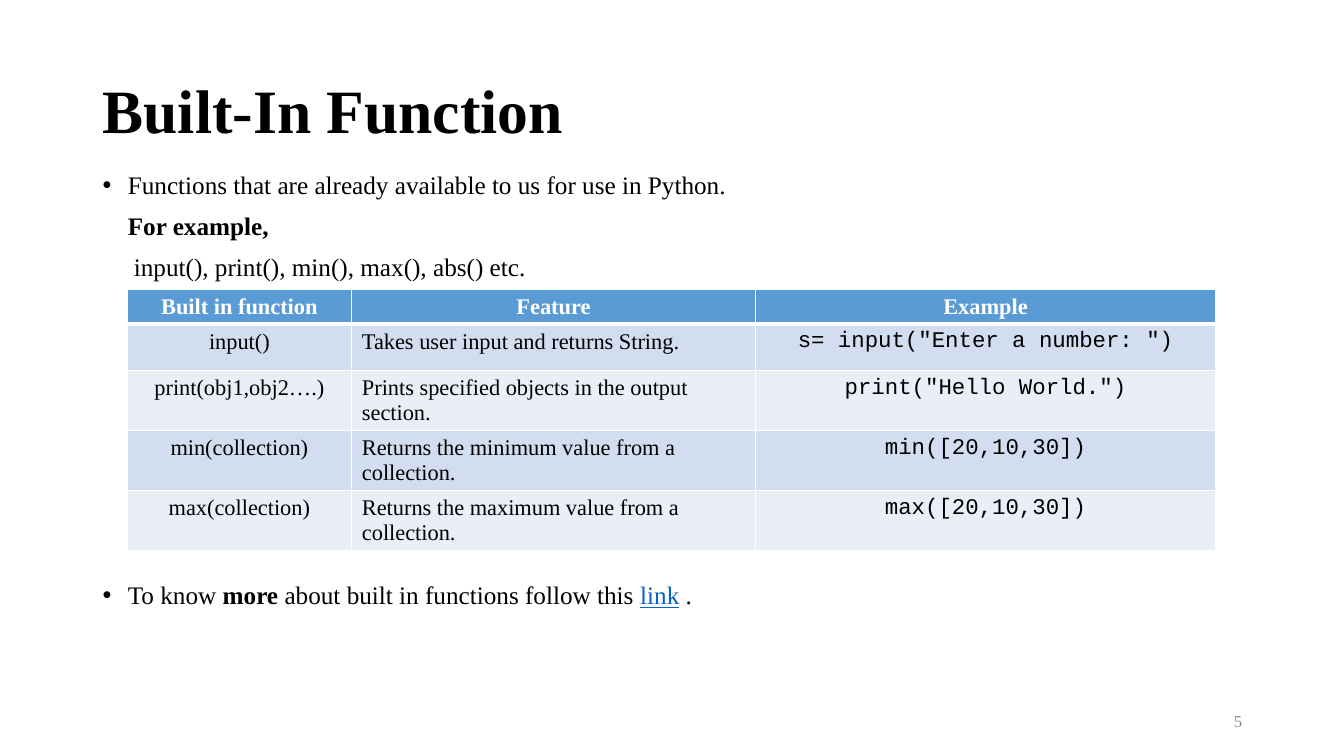
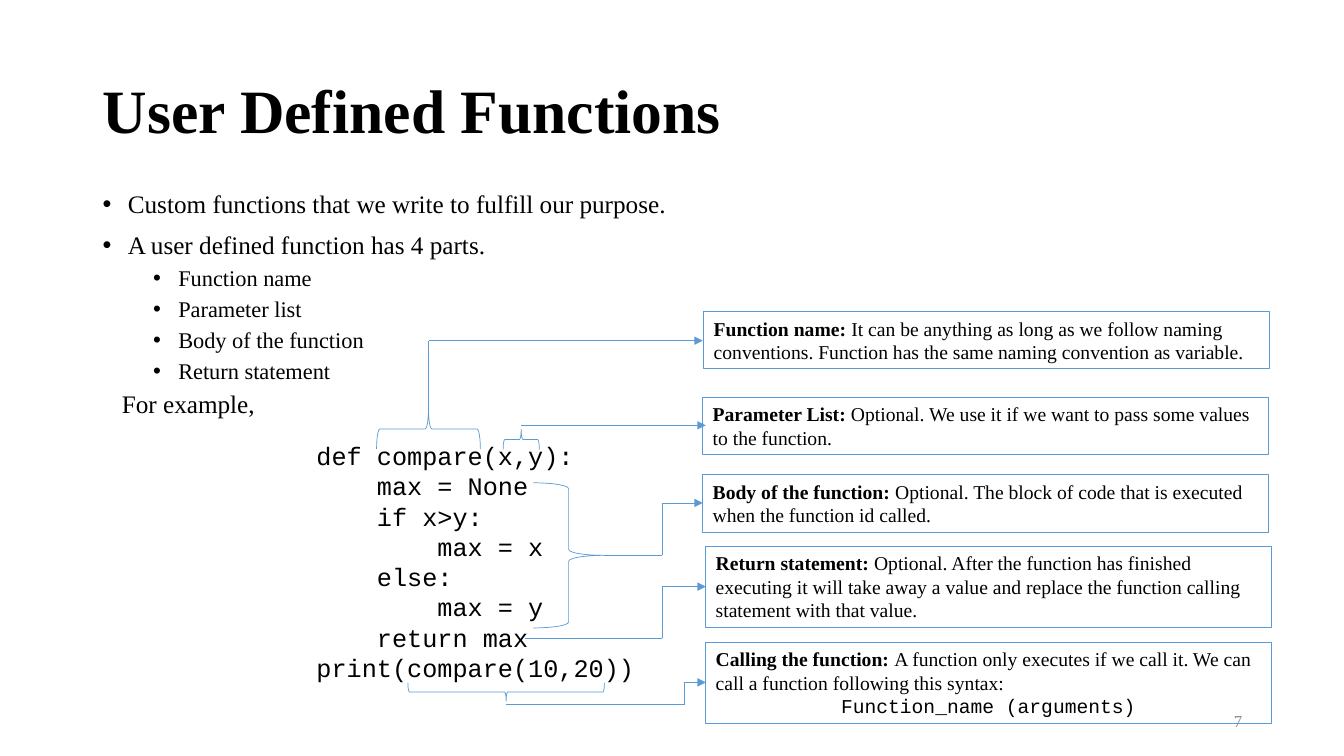
from dataclasses import dataclass
from itertools import pairwise

from lxml.etree import SubElement
from pptx import Presentation
from pptx.dml.color import RGBColor
from pptx.enum.shapes import MSO_CONNECTOR, MSO_SHAPE
from pptx.enum.text import MSO_ANCHOR, MSO_AUTO_SIZE, PP_ALIGN
from pptx.oxml import parse_xml
from pptx.oxml.ns import nsdecls, qn
from pptx.util import Inches, Pt


@dataclass(frozen=True)
class Theme:
    """Colours, fonts and type sizes shared by the slides."""
    text: str = "000000"
    white: str = "FFFFFF"
    accent: str = "5B9BD5"
    bands: tuple = ("D2DEEF", "EAEFF7")
    link: str = "0563C1"
    number: str = "8C8C8C"
    serif: str = "Times New Roman"
    mono: str = "Courier New"
    title: int = 44
    body: int = 18
    sub: int = 16
    note: int = 14
    small: int = 12


T = Theme()
LEFT, WIDTH = 0.92, 11.5
BULLET = {"indent": 0.25, "bullet": True}
SUB_BULLET = {"indent": 0.75, "bullet": True, "size": T.sub, "before": 5}
CODE_STEP = 0.6

FUNCTIONS = [
    ("Built in function", "Feature", "Example"),
    ("input()", "Takes user input and returns String.",
     's= input("Enter a number: ")'),
    ("print(obj1,obj2….)", "Prints specified objects in the output section.",
     'print("Hello World.")'),
    ("min(collection)", "Returns the minimum value from a collection.",
     "min([20,10,30])"),
    ("max(collection)", "Returns the maximum value from a collection.",
     "max([20,10,30])"),
]

CODE = [
    (0, "def compare(x,y):"),
    (1, "max = None"),
    (1, "if x>y:"),
    (2, "max = x"),
    (1, "else:"),
    (2, "max = y"),
    (1, "return max"),
    (0, "print(compare(10,20))"),
]

# left, top, height, label, explanation
NOTES = [
    (6.98, 3.09, 0.57, "Function name: ",
     "It can be anything as long as we follow naming conventions. "
     "Function has the same naming convention as variable."),
    (6.97, 3.94, 0.57, "Parameter List: ",
     "Optional. We use it if we want to pass some values to the function."),
    (6.97, 4.71, 0.57, "Body of the function: ",
     "Optional. The block of code that is executed when the function id called."),
    (7, 5.42, 0.81, "Return statement: ",
     "Optional. After the function has finished executing it will take away "
     "a value and replace the function calling statement with that value."),
    (7, 6.37, 0.81, "Calling the function: ",
     "A function only executes if we call it. "
     "We can call a function following this syntax:"),
]

# left, top, width, height, rotation
BRACES = [
    (4.05, 3.74, 0.4, 1.03, 270),
    (5.07, 4.18, 0.2, 0.36, 270),
    (5.29, 4.79, 0.7, 1.44, 0),
    (4.93, 5.89, 0.18, 1.95, 90),
]

LEADERS = [
    [(4.25, 4.06), (4.25, 3.38), (6.97, 3.38)],
    [(5.17, 4.22), (7, 4.22)],
    [(5.99, 5.51), (6.57, 5.51), (6.57, 4.99), (6.97, 4.99)],
    [(5.21, 6.33), (6.57, 6.33), (6.57, 5.82), (7, 5.82)],
    [(5.02, 6.99), (6.79, 6.99), (6.79, 6.77), (7, 6.77)],
]


def rgb(value):
    """Turn a hex string into a colour."""
    return RGBColor.from_string(value)


def add_run(p, text, color=T.text, **changes):
    """Append one formatted run to a paragraph."""
    r = p.add_run()
    r.text = text
    values = {"name": T.serif, "size": T.body, "bold": False} | changes
    values["size"] = Pt(values["size"])
    for name, value in values.items():
        setattr(r.font, name, value)
    r.font.color.rgb = rgb(color)


def format_paragraph(p, indent=0, bullet=False, **values):
    """Set spacing, alignment, indent and bullet of a paragraph."""
    for name, value in values.items():
        setattr(p, name, value)
    pPr = p._p.get_or_add_pPr()
    pPr.set("marL", str(Inches(indent)))
    pPr.set("indent", str(Inches(-0.25 if bullet else 0)))
    if bullet:
        SubElement(pPr, qn("a:buFont")).set("typeface", "Arial")
        SubElement(pPr, qn("a:buChar")).set("char", "•")


def add_text_box(s, left, top, width, height, anchor=MSO_ANCHOR.TOP):
    """Add a wrapping text box and return it."""
    sp = s.shapes.add_textbox(*map(Inches, (left, top, width, height)))
    values = {"word_wrap": True, "auto_size": MSO_AUTO_SIZE.NONE,
              "vertical_anchor": anchor}
    for name, value in values.items():
        setattr(sp.text_frame, name, value)
    return sp


def paragraphs(tf, items):
    """Pair each item with a paragraph, reusing the first empty one."""
    for i, item in enumerate(items):
        yield (tf.add_paragraph() if i else tf.paragraphs[0]), item


def add_body(s, top, height, items):
    """Write body paragraphs given as (runs, format) pairs."""
    tf = add_text_box(s, LEFT, top, WIDTH, height).text_frame
    for p, (runs, form) in paragraphs(tf, items):
        form = dict(form)
        size = form.pop("size", T.body)
        before = Pt(form.pop("before", 10))
        format_paragraph(p, line_spacing=0.9, space_before=before, **form)
        for text, changes in runs:
            add_run(p, text, **({"size": size} | changes))


def add_slide(prs, title, number):
    """Add a blank slide with its title and slide number."""
    s = prs.slides.add_slide(prs.slide_layouts[6])
    middle = MSO_ANCHOR.MIDDLE
    p = add_text_box(s, LEFT, 0.4, WIDTH, 1.45, middle).text_frame.paragraphs[0]
    p.line_spacing = 0.9
    add_run(p, title, size=T.title, bold=True)
    p = add_text_box(s, 9.42, 6.95, 3, 0.4, middle).text_frame.paragraphs[0]
    p.alignment = PP_ALIGN.RIGHT
    add_run(p, str(number), T.number, size=T.small)
    return s


def set_borders(cell, bottom):
    """Draw white borders with the given bottom width in points."""
    widths = {"lnL": 1, "lnR": 1, "lnT": 1, "lnB": bottom}
    tcPr = cell._tc.get_or_add_tcPr()
    for side, width in widths.items():
        tcPr.append(parse_xml(
            f'<a:{side} {nsdecls("a")} w="{Pt(width)}"><a:solidFill>'
            f'<a:srgbClr val="{T.white}"/></a:solidFill></a:{side}>'))


def add_function_table(s, left, top, widths, heights):
    """Add the banded table of built-in functions."""
    size = (left, top, sum(widths), sum(heights))
    table = s.shapes.add_table(len(heights), len(widths),
                               *map(Inches, size)).table
    for column, width in zip(table.columns, widths):
        column.width = Inches(width)
    for i, (row, height) in enumerate(zip(table.rows, heights)):
        row.height = Inches(height)
        header = i == 0
        for j, cell in enumerate(row.cells):
            set_borders(cell, 3 if header else 1)
            cell.fill.solid()
            cell.fill.fore_color.rgb = rgb(
                T.accent if header else T.bands[(i - 1) % 2])
            p = cell.text_frame.paragraphs[0]
            centred = header or j != 1
            p.alignment = PP_ALIGN.CENTER if centred else PP_ALIGN.LEFT
            add_run(p, FUNCTIONS[i][j], T.white if header else T.text,
                    size=T.sub, bold=header,
                    name=T.mono if j == 2 and not header else T.serif)


def add_code(s, left, top, width, height):
    """Write the code sample, indenting each line by its level."""
    tf = add_text_box(s, left, top, width, height).text_frame
    for p, (level, text) in paragraphs(tf, CODE):
        format_paragraph(p, indent=level * CODE_STEP)
        add_run(p, text, name=T.mono)


def add_note(s, left, top, height, label, text):
    """Add an outlined explanation and return its text frame."""
    sp = add_text_box(s, left, top, 5.61, height)
    sp.line.color.rgb = rgb(T.accent)
    sp.line.width = Pt(0.75)
    p = sp.text_frame.paragraphs[0]
    add_run(p, label, size=T.note, bold=True)
    add_run(p, text, size=T.note)
    return sp.text_frame


def add_brace(s, left, top, width, height, rotation):
    """Add a thin brace around a part of the code."""
    sp = s.shapes.add_shape(MSO_SHAPE.RIGHT_BRACE,
                            *map(Inches, (left, top, width, height)))
    sp.rotation = rotation
    sp.shadow.inherit = False
    sp.fill.background()
    sp.line.color.rgb = rgb(T.accent)
    sp.line.width = Pt(0.5)


def add_leader(s, points):
    """Join points with lines and end the last one in an arrowhead."""
    for start, end in pairwise(points):
        line = s.shapes.add_connector(MSO_CONNECTOR.STRAIGHT,
                                      *map(Inches, start + end))
        line.line.color.rgb = rgb(T.accent)
        line.line.width = Pt(0.5)
        SubElement(line._element.spPr, qn("a:effectLst"))
    SubElement(line.line._get_or_add_ln(), qn("a:tailEnd")).set("type", "triangle")


def build_built_in(prs):
    """Build the slide on built-in functions."""
    s = add_slide(prs, "Built-In Function", 5)
    add_body(s, 1.66, 4.76, [
        ([("Functions that are already available to us for use in Python.", {})],
         BULLET),
        ([("For example,", {"bold": True})], {"indent": 0.25}),
        ([("input(), print(), min(), max(), abs() etc.", {})], {"indent": 0.31}),
        ([("To know ", {}), ("more", {"bold": True}),
          (" about built in functions follow this ", {}),
          ("link", {"color": T.link, "underline": True}), (" .", {})],
         BULLET | {"before": 215}),
    ])
    add_function_table(s, 1.26, 2.87, (2.23, 4, 4.57),
                       (0.33, 0.46, 0.57, 0.57, 0.57))


def build_user_defined(prs):
    """Build the slide on user defined functions."""
    s = add_slide(prs, "User Defined Functions", 7)
    points = ("Custom functions that we write to fulfill our purpose.",
              "A user defined function has 4 parts.")
    parts = ("Function name", "Parameter list", "Body of the function",
             "Return statement")
    add_body(s, 1.85, 5.37,
             [([(text, {})], BULLET) for text in points]
             + [([(text, {})], SUB_BULLET) for text in parts]
             + [([("For example,", {})], {"indent": 0.19, "before": 5})])
    add_code(s, 3.04, 4.32, 3.42, 2.52)
    for note in NOTES:
        tf = add_note(s, *note)
    p = tf.add_paragraph()
    p.alignment = PP_ALIGN.CENTER
    add_run(p, "Function_name (arguments)", size=T.note, name=T.mono)
    for brace in BRACES:
        add_brace(s, *brace)
    for points in LEADERS:
        add_leader(s, points)


def main():
    """Build and save the presentation."""
    prs = Presentation()
    prs.slide_width, prs.slide_height = Inches(13.33), Inches(7.5)
    build_built_in(prs)
    build_user_defined(prs)
    prs.save("out.pptx")


main()
